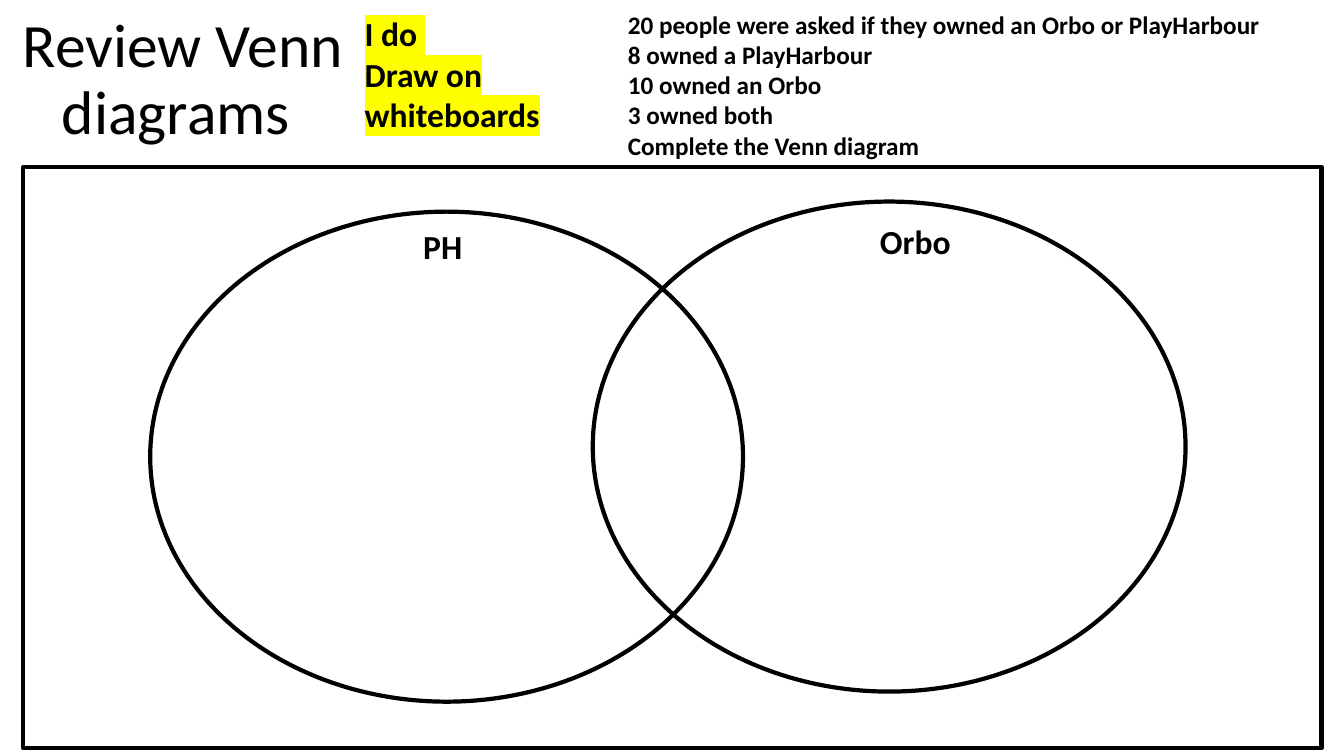
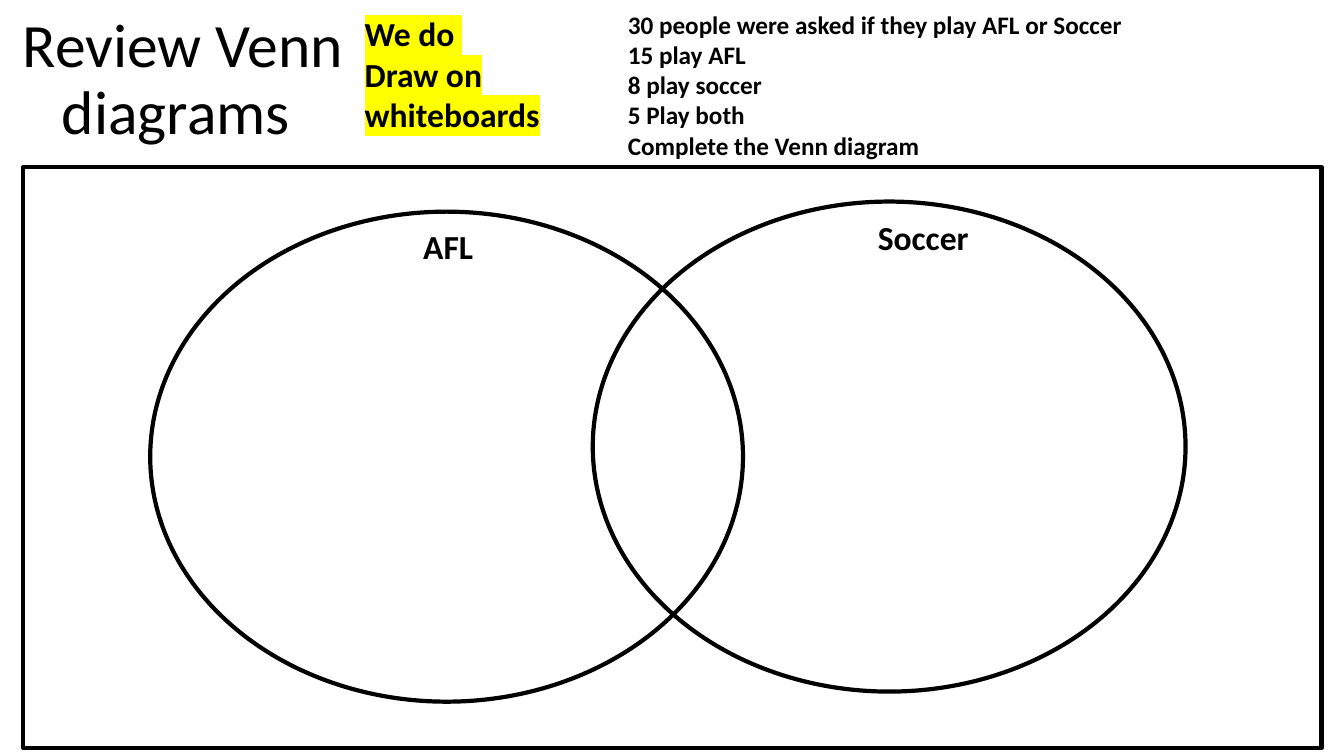
import pptx
import pptx.util
import pptx.dml.color
import pptx.enum.shapes
import pptx.enum.text
import pptx.oxml
import pptx.oxml.ns

Pt = pptx.util.Pt
SHAPES = pptx.enum.shapes.MSO_SHAPE
BLACK = pptx.dml.color.RGBColor(0x00, 0x00, 0x00)
YELLOW = pptx.dml.color.RGBColor(0xFF, 0xFF, 0x00)
FONT = "Calibri"

TITLE = "Review Venn diagrams "
TASK = "Draw on whiteboards"
REQUEST = "Complete the Venn diagram"

# Label boxes are (text, (left, top, width, height)), in points.
LESSONS = [
    {
        "mode": "I do ",
        "question": [
            "20 people were asked if they owned an Orbo or PlayHarbour",
            "8 owned a PlayHarbour",
            "10 owned an Orbo",
            "3 owned both",
        ],
        "labels": [
            ("PH", (295.2, 157.7, 61.2, 36)),
            ("Orbo", (621.4, 154.1, 67.7, 36)),
        ],
    },
    {
        "mode": "We do ",
        "question": [
            "30 people were asked if they play AFL or Soccer",
            "15 play AFL",
            "8 play soccer",
            "5 Play both",
        ],
        "labels": [
            ("AFL", (295.2, 157.7, 61.2, 36)),
            ("Soccer", (619.9, 151.2, 85.7, 36)),
        ],
    },
]

TITLE_BOX = (7.2, 5.8, 247, 104.4)
MODE_BOX = (253.4, 5.8, 141.1, 94.3)
QUESTION_BOX = (441.4, 2.9, 486.7, 116.6)
VENN_OUTLINES = [
    (SHAPES.OVAL, (107.3, 151.2, 423.4, 350)),
    (SHAPES.OVAL, (423.4, 144, 423.4, 350)),
    (SHAPES.RECTANGLE, (16.6, 119.5, 927.4, 414.7)),
]


def add_text(slide, box, lines, size, bold=True):
    text_box = slide.shapes.add_textbox(*map(Pt, box))
    text_frame = text_box.text_frame
    text_frame.word_wrap = True
    text_frame.text = "\n".join(lines)
    for paragraph in text_frame.paragraphs:
        for run in paragraph.runs:
            run.font.name = FONT
            run.font.size = Pt(size)
            run.font.bold = bold
            run.font.color.rgb = BLACK
    return text_frame


def highlight(text_frame, color):
    for paragraph in text_frame.paragraphs:
        for run in paragraph.runs:
            marker = pptx.oxml.parse_xml(
                f'<a:highlight {pptx.oxml.ns.nsdecls("a")}>'
                f'<a:srgbClr val="{color}"/></a:highlight>'
            )
            latin = run.font._element.find(pptx.oxml.ns.qn("a:latin"))
            latin.addprevious(marker)


def add_title(slide):
    text_frame = add_text(slide, TITLE_BOX, [TITLE], 44, bold=False)
    text_frame.vertical_anchor = pptx.enum.text.MSO_ANCHOR.MIDDLE
    paragraph = text_frame.paragraphs[0]
    paragraph.alignment = pptx.enum.text.PP_ALIGN.CENTER
    paragraph.line_spacing = 0.9


def add_venn_diagram(slide):
    for kind, box in VENN_OUTLINES:
        shape = slide.shapes.add_shape(kind, *map(Pt, box))
        shape.shadow.inherit = False
        shape.fill.background()
        shape.line.color.rgb = BLACK
        shape.line.width = Pt(3)


def add_lesson(presentation, lesson):
    slide = presentation.slides.add_slide(presentation.slide_layouts[6])
    add_title(slide)
    add_venn_diagram(slide)
    highlight(add_text(slide, MODE_BOX, [lesson["mode"], TASK], 24), YELLOW)
    add_text(slide, QUESTION_BOX, lesson["question"] + [REQUEST], 18)
    for label, box in lesson["labels"]:
        add_text(slide, box, [label], 24)


def main():
    presentation = pptx.Presentation()
    presentation.slide_width = Pt(960)
    presentation.slide_height = Pt(540)
    for lesson in LESSONS:
        add_lesson(presentation, lesson)
    presentation.save("out.pptx")


if __name__ == "__main__":
    main()
